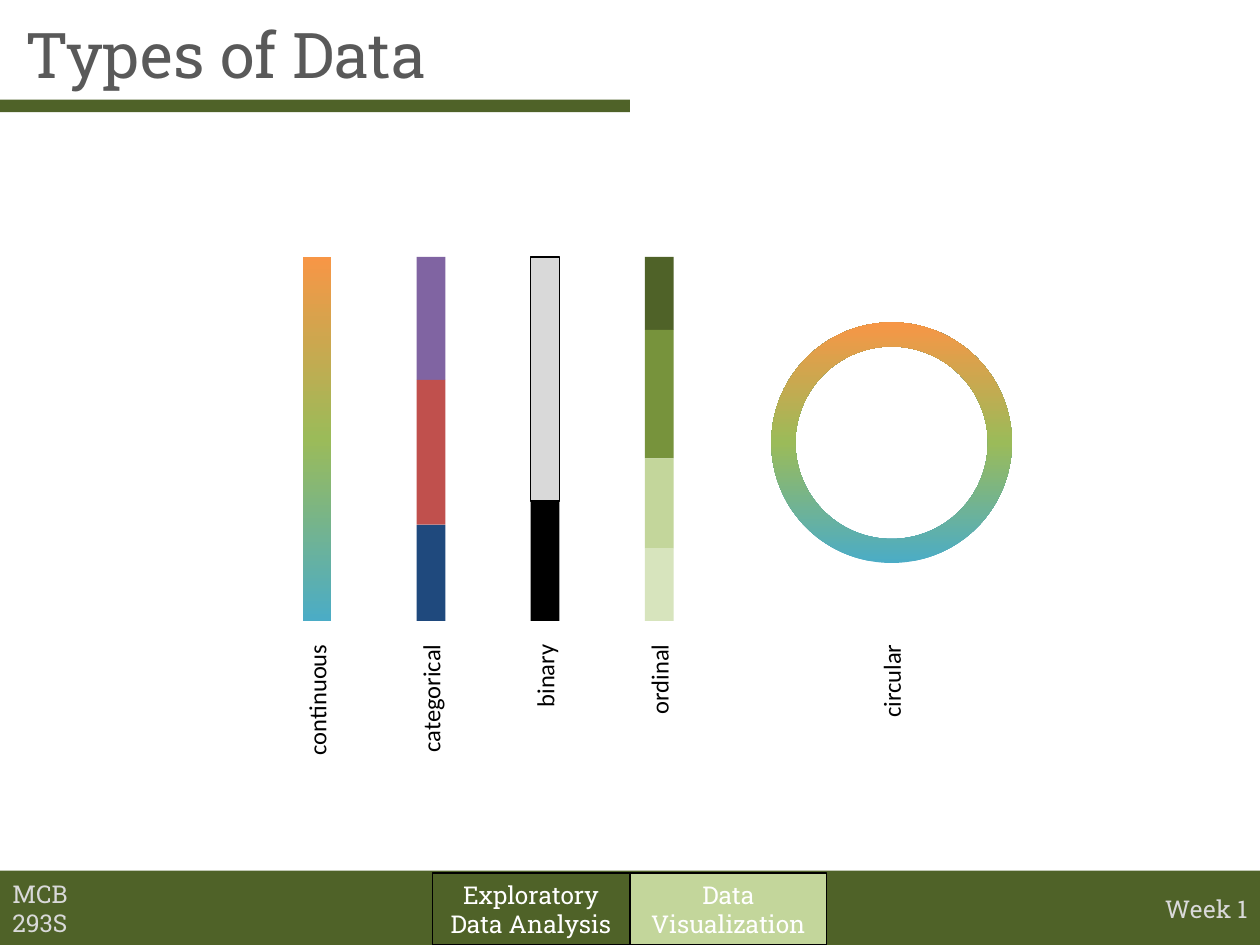
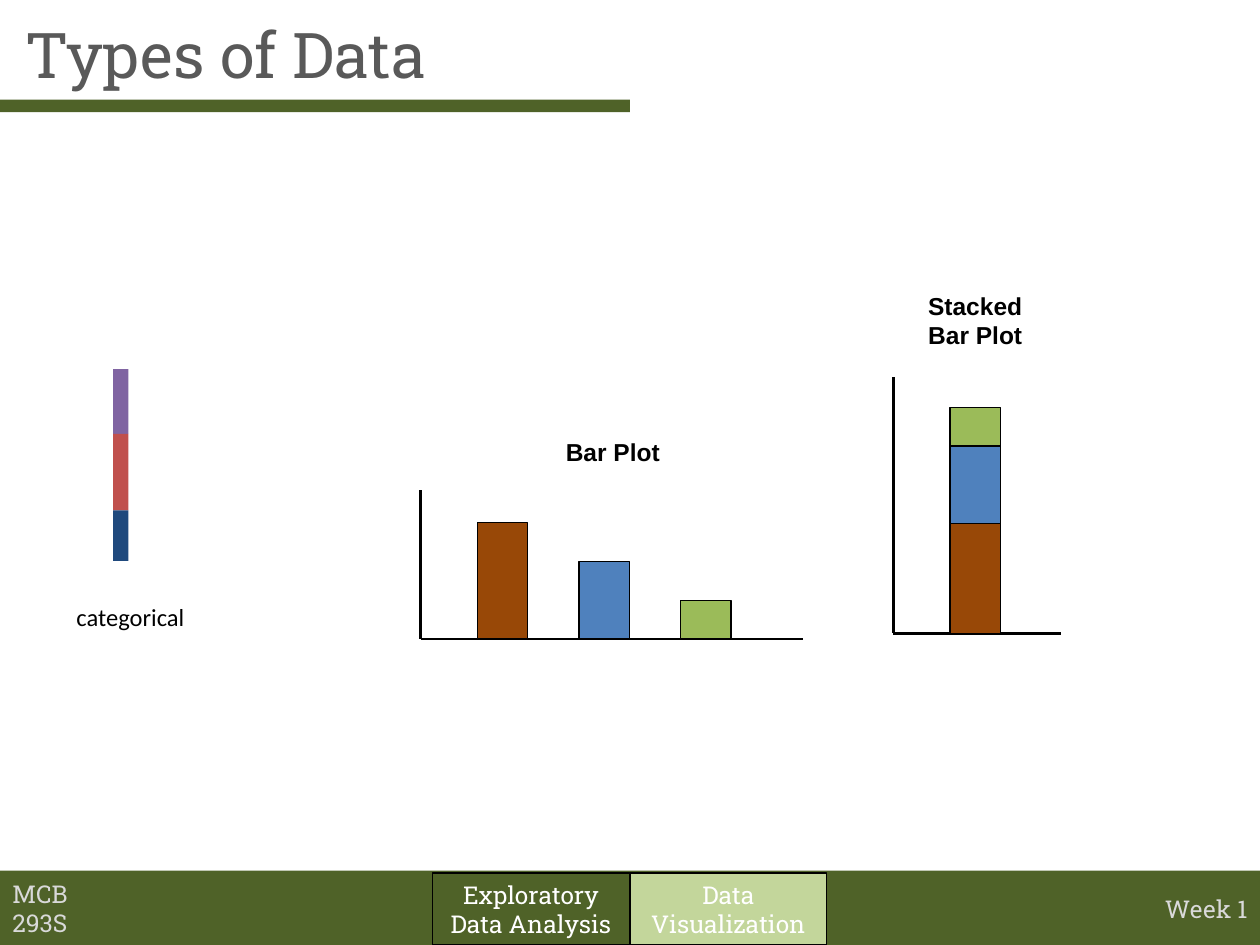
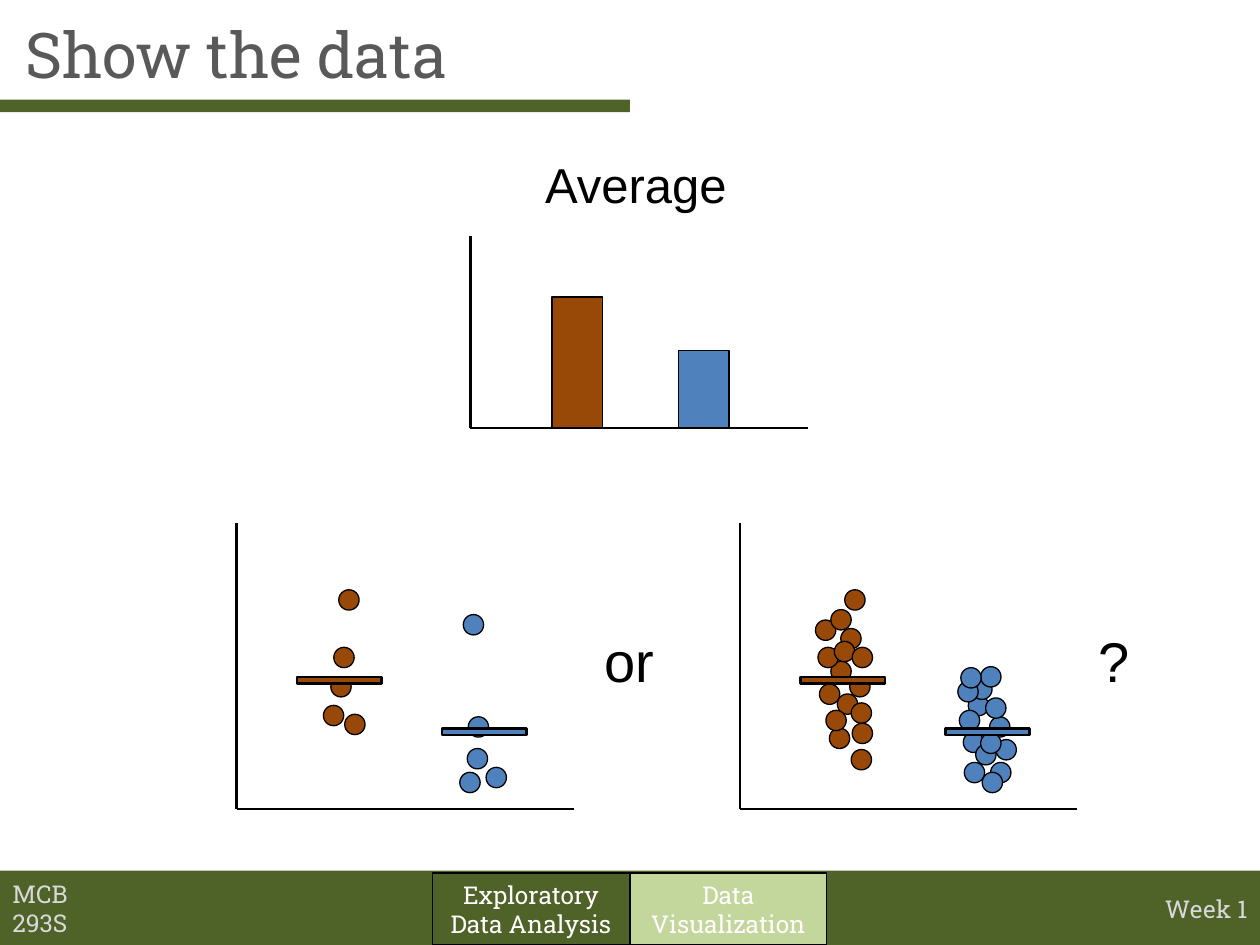
from copy import deepcopy

from pptx import Presentation
from pptx.dml.color import RGBColor
from pptx.enum.shapes import MSO_CONNECTOR, MSO_SHAPE as Geo
from pptx.enum.text import MSO_ANCHOR as Anchor, MSO_AUTO_SIZE, PP_ALIGN as Align
from pptx.oxml import parse_xml
from pptx.oxml.ns import nsdecls, qn
from pptx.util import Cm, Pt

# Shared colours, fonts and sizes (lengths in cm)
SLIDE_W, SLIDE_H = 25.4, 19.05
BLACK, WHITE, GREY, TITLE_GREY = "000000", "FFFFFF", "D9D9D9", "595959"
OLIVE, MID_GREEN, LIGHT_GREEN, PALE_GREEN = "4F6228", "77933C", "C3D69B", "D7E4BD"
BROWN, BLUE, GREEN = "984807", "4F81BD", "9BBB59"
SPECTRUM = ["4BACC6", "9BBB59", "F79646"]
SLAB, SANS, BODY = "Roboto Slab", "Arial", "Calibri"
LINE_H = 0.86
BAR_W = 1.02
DOT = 0.41

# Segments from top to bottom: colour, share of the height
CATEGORICAL = [("8064A2", 2.48), ("C0504D", 2.92), ("1F497D", 1.94)]
ORDINAL = [(OLIVE, 1.47), (MID_GREEN, 2.59), (LIGHT_GREEN, 1.82), (PALE_GREEN, 1.46)]

# Dots as left and top within their plot
FEW = {
    BROWN: [(1.75, 3.68), (2.18, 3.86), (1.96, 2.51), (1.9, 3.1), (2.06, 1.35)],
    BLUE: [(4.67, 3.91), (4.57, 1.85), (5.03, 4.93), (4.5, 5.03), (4.65, 4.55)],
}
MANY = {
    BROWN: [(1.8, 4.14), (1.6, 3.25), (2.24, 4.57), (1.83, 2.79), (2.21, 3.1),
            (1.57, 2.51), (1.96, 3.45), (2.03, 2.13), (1.52, 1.96), (1.83, 1.75),
            (2.11, 1.35), (2.24, 3.63), (1.73, 3.78), (1.9, 2.39), (2.26, 4.04),
            (2.26, 2.51)],
    BLUE: [(4.6, 3.48), (5.03, 3.91), (5.16, 4.37), (4.95, 3.53), (4.5, 4.22),
           (4.75, 4.47), (4.67, 3.15), (4.42, 3.78), (4.85, 2.9), (5.05, 4.83),
           (4.52, 4.83), (4.88, 5.03), (4.85, 4.24), (4.39, 3.2), (4.45, 2.92)],
}
MEANS = {BLUE: (4.14, 4.15), BROWN: (1.22, 3.11)}


# Basic parts
def rgb(value):
    return RGBColor.from_string(value)


def cm_box(box):
    return [Cm(v) for v in box]


def write(shape, lines, size=14, font=SLAB, color=BLACK, align=Align.LEFT,
          bold=False, anchor=Anchor.TOP, wrap=True):
    tf = shape.text_frame
    frame_format = {"auto_size": MSO_AUTO_SIZE.NONE, "word_wrap": wrap,
                    "vertical_anchor": anchor}
    for name, value in frame_format.items():
        setattr(tf, name, value)
    for i, line in enumerate(lines):
        p = tf.add_paragraph() if i else tf.paragraphs[0]
        p.alignment = align
        r = p.add_run()
        r.text = line
        for name, value in {"name": font, "size": Pt(size), "bold": bold}.items():
            setattr(r.font, name, value)
        r.font.color.rgb = rgb(color)


def label(s, box, *lines, rotation=0, wrap=False, **style):
    sp = s.shapes.add_textbox(*cm_box(box))
    sp.rotation = rotation
    write(sp, lines, wrap=wrap, **style)


def block(shapes, box, fill=None, line=None, geo=Geo.RECTANGLE, weight=0.75):
    sp = shapes.add_shape(geo, *cm_box(box))
    sp.shadow.inherit = False
    if fill:
        sp.fill.solid()
        sp.fill.fore_color.rgb = rgb(fill)
    if line:
        sp.line.color.rgb = rgb(line)
        sp.line.width = Pt(weight)
    else:
        sp.line.fill.background()
    return sp


def spectrum(sp):
    """Three-colour gradient running from bottom to top."""
    sp.fill.gradient()
    sp.fill.gradient_angle = 90
    stops = sp._element.spPr.find(".//" + qn("a:gsLst"))
    stops.append(deepcopy(stops[0]))
    for i, (stop, color) in enumerate(zip(sp.fill.gradient_stops, SPECTRUM)):
        stop.position = i / 2
        stop.color.rgb = rgb(color)


def stack(s, box, parts, line=None):
    """Segments that share the height of the box, from the top down."""
    x, y, w, h = box
    total = sum(share for _, share in parts)
    for color, share in parts:
        part_h = h * share / total
        block(s.shapes, (x, y, w, part_h), color, line)
        y += part_h


def axes(s, box):
    x, y, w, h = box
    for ends in ((x, y, x, y + h), (x, y + h, x + w, y + h)):
        c = s.shapes.add_connector(MSO_CONNECTOR.STRAIGHT, *cm_box(ends))
        c.line.color.rgb = rgb(BLACK)
        c.line.width = Pt(1.5)
        c._element.spPr.append(parse_xml(f"<a:effectLst {nsdecls('a')}/>"))


# Plots
def bar_plot(s, box, start, pitch, bars):
    axes(s, box)
    x, y, w, h = box
    for i, (color, bar_h) in enumerate(bars):
        bar = (x + start + i * pitch, y + h - bar_h, BAR_W, bar_h)
        block(s.shapes, bar, color, BLACK)


def stacked_plot(s, box, start, bar_h, parts):
    axes(s, box)
    x, y, w, h = box
    stack(s, (x + start, y + h - bar_h, BAR_W, bar_h), parts, BLACK)


def dot_plot(s, box, dots):
    axes(s, box)
    x, y, w, h = box
    for color, points in dots.items():
        group = s.shapes.add_group_shape()
        for dx, dy in points:
            block(group.shapes, (x + dx, y + dy, DOT, DOT), color, BLACK, Geo.OVAL)
    for color, (dx, dy) in MEANS.items():
        block(s.shapes, (x + dx, y + dy, 1.7, 0.13), color, BLACK, weight=1.5)


# Title, rule and footer of every slide
def footer(s, top, h):
    block(s.shapes, (0, top, SLIDE_W, h), OLIVE)
    side = {"color": GREY, "anchor": Anchor.MIDDLE}
    text_top = top + 0.33
    label(s, (0, text_top, 2.6, LINE_H), "MCB 293S", wrap=True, **side)
    label(s, (SLIDE_W - 2.21, text_top, 2.21, LINE_H), "Week 1", align=Align.RIGHT, **side)
    tabs = [(8.72, OLIVE, ["Exploratory", "Data Analysis"]),
            (12.7, LIGHT_GREEN, ["Data Visualization"])]
    for x, fill, lines in tabs:
        tab = block(s.shapes, (x, top + 0.05, 3.97, h - 0.05), fill, BLACK)
        write(tab, lines, color=WHITE, align=Align.CENTER, anchor=Anchor.MIDDLE)


def new_slide(prs, title):
    s = prs.slides.add_slide(prs.slide_layouts[5])
    sp = s.shapes.title
    place = {"left": 0.25, "top": 0, "width": 24.87, "height": 2.13}
    for name, value in place.items():
        setattr(sp, name, Cm(value))
    write(sp, [title], size=36, color=TITLE_GREY, anchor=Anchor.MIDDLE)
    block(s.shapes, (0, 2.01, SLIDE_W / 2, 0.25), OLIVE)
    footer(s, 17.55, 1.5)
    return s


# Slides
def data_types(prs):
    s = new_slide(prs, "Types of Data")
    left, top, w, h, pitch = 6.1, 5.18, 0.58, 7.34, 2.3
    columns = [(left + i * pitch, top, w, h) for i in range(4)]
    continuous, categorical, binary, ordinal = columns
    spectrum(block(s.shapes, continuous))
    stack(s, categorical, CATEGORICAL)
    x, y, _, _ = binary
    block(s.shapes, (x, y, w, 4.92), GREY, BLACK)
    block(s.shapes, (x, y + 4.92, w, h - 4.92), BLACK)
    stack(s, ordinal, ORDINAL)

    ring = block(s.shapes, (15.55, 6.5, 4.85, 4.85), geo=Geo.DONUT)
    ring.adjustments[0] = 0.1
    spectrum(ring)

    # Upright labels that start at the same height
    names = [("continuous", 2.77), ("categorical", 2.72), ("binary", 1.8),
             ("ordinal", 1.93), ("circular", 2.01)]
    centres = [x + w / 2 for x, *_ in columns] + [17.97]
    for (name, length), centre in zip(names, centres):
        box = (centre - length / 2, 12.74 + (length - LINE_H) / 2, length, LINE_H)
        label(s, box, name, rotation=270, font=BODY, align=Align.RIGHT)


def categorical_plots(prs):
    s = new_slide(prs, "Types of Data")
    stack(s, (2.28, 7.44, 0.31, 3.87), CATEGORICAL)
    label(s, (1.25, 12.01, 2.72, LINE_H), "categorical", font=BODY, align=Align.RIGHT)

    heading = {"font": SANS, "bold": True, "align": Align.CENTER}
    bar_plot(s, (8.48, 9.88, 7.7, 3), 1.14, 2.05,
             [(BROWN, 2.34), (BLUE, 1.56), (GREEN, 0.78)])
    label(s, (11.15, 8.69, 2.41, LINE_H), "Bar Plot", **heading)

    stacked_plot(s, (18.01, 7.6, 3.38, 5.17), 1.14, 4.56,
                 [(GREEN, 0.78), (BLUE, 1.56), (BROWN, 2.22)])
    label(s, (18.44, 5.74, 2.44, 1.45), "Stacked", "Bar Plot", **heading)


def show_the_data(prs):
    s = new_slide(prs, "Show the data")
    label(s, (10.74, 3, 4.22, 1.45), "Average", size=28, font=SANS)
    bar_plot(s, (9.48, 4.75, 6.8, 3.88), 1.65, 2.55, [(BROWN, 2.64), (BLUE, 1.56)])
    for x, dots in ((4.77, FEW), (14.92, MANY)):
        dot_plot(s, (x, 10.54, 6.8, 5.77), dots)
    for x, w, word in ((11.94, 1.52, "or"), (21.9, 1.14, "?")):
        label(s, (x, 12.5, w, 1.62), word, size=32, font=SANS)


def main():
    prs = Presentation()
    prs.slide_width, prs.slide_height = Cm(SLIDE_W), Cm(SLIDE_H)
    for build in (data_types, categorical_plots, show_the_data):
        build(prs)
    prs.save("out.pptx")


if __name__ == "__main__":
    main()
